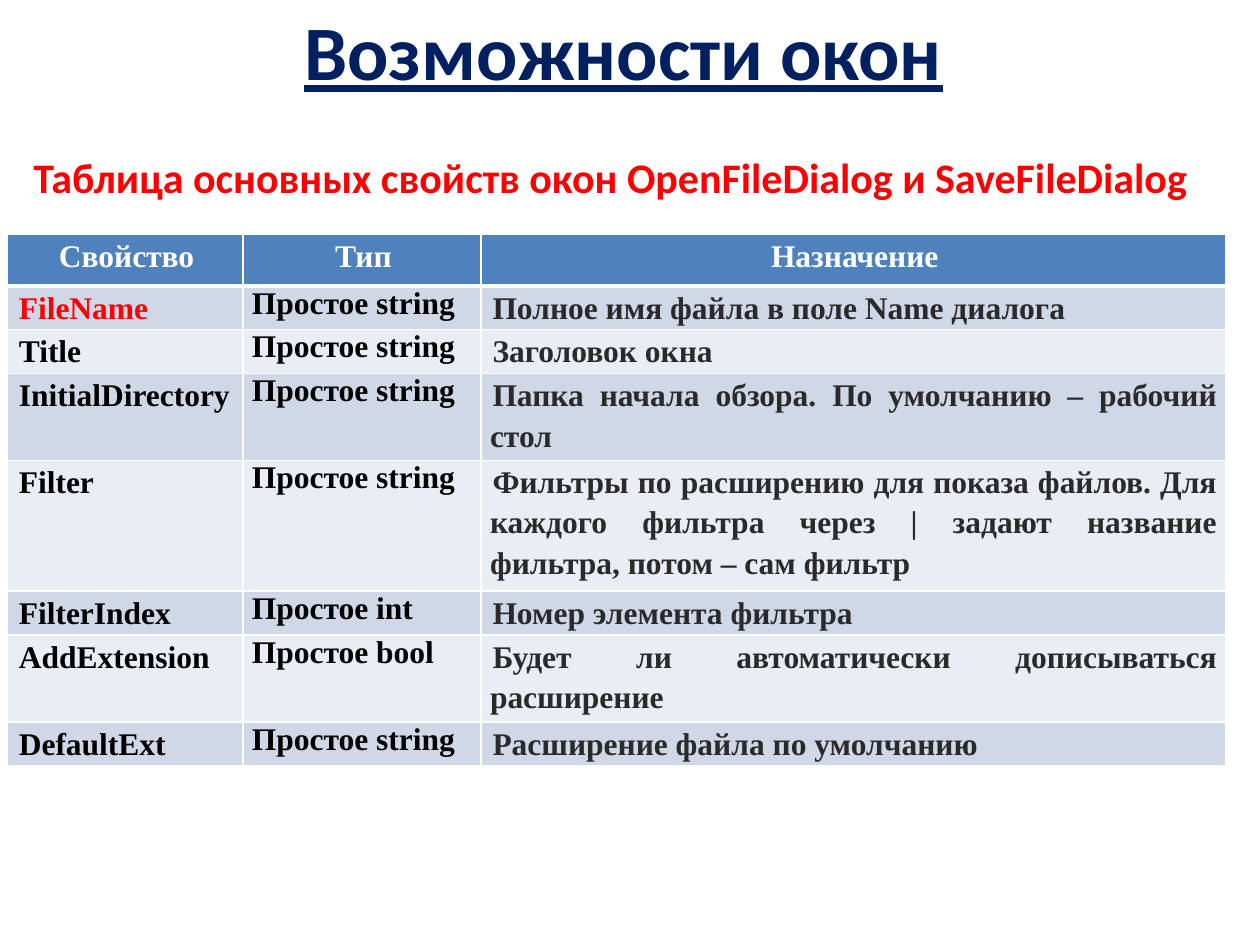
from lxml import etree
from pptx import Presentation
from pptx import util as u
from pptx.dml.color import RGBColor
from pptx.enum import text
from pptx.oxml import ns

HUES = {"navy": "002060", "red": "FF0000", "white": "FFFFFF", "black": "000000",
        "gray": "2A2A2A", "head": "4F81BD", "odd": "D0D8E8", "even": "E9EDF4"}
ALIGN = text.PP_ALIGN
WIDTHS = [1.87, 1.89, 5.91]
HEIGHTS = [0.41, 0.34, 0.35, 0.69, 1.03, 0.35, 0.69, 0.34]
ROWS = [
    ("Свойство", "Тип", "Назначение"),
    ("FileName", "Простое string", "Полное имя файла в поле Name диалога"),
    ("Title", "Простое string", "Заголовок окна"),
    ("InitialDirectory", "Простое string",
     "Папка начала обзора. По умолчанию – рабочий стол"),
    ("Filter", "Простое string",
     "Фильтры по расширению для показа файлов. Для каждого фильтра через | "
     "задают название фильтра, потом – сам фильтр"),
    ("FilterIndex", "Простое int", "Номер элемента фильтра"),
    ("AddExtension", "Простое bool", "Будет ли автоматически дописываться расширение"),
    ("DefaultExt", "Простое string", "Расширение файла по умолчанию"),
]


class Deck:
    """Holds the style and the current slide, and adds elements to it."""

    def __init__(self, hues, wide, high):
        self.hues = hues
        self.prs = Presentation()
        self.prs.slide_width, self.prs.slide_height = u.Inches(wide), u.Inches(high)
        self.slide = self.prs.slides.add_slide(self.prs.slide_layouts[6])

    def color(self, name):
        return RGBColor.from_string(self.hues[name])

    def phrase(self, para, words, hue, align, **form):
        para.alignment = align
        run = para.add_run()
        run.text = words
        run.font.color.rgb = self.color(hue)
        for key, value in form.items():
            setattr(run.font, key, value)

    def label(self, words, box, hue, anchor, **form):
        frame = self.slide.shapes.add_textbox(*map(u.Inches, box)).text_frame
        frame.word_wrap = True
        frame.vertical_anchor = anchor
        self.phrase(frame.paragraphs[0], words, hue, ALIGN.CENTER,
                    name="Calibri", bold=True, **form)

    def border(self, cell, **sides):
        props = cell._tc.get_or_add_tcPr()
        for side, points in sides.items():
            line = etree.SubElement(props, ns.qn(f"a:ln{side}"), w=str(u.Pt(points)))
            fill = etree.SubElement(line, ns.qn("a:solidFill"))
            etree.SubElement(fill, ns.qn("a:srgbClr"), val=self.hues["white"])

    def cell(self, cell, words, row, col):
        form = {"margin_left": u.Inches(0.07), "margin_right": u.Inches(0.07),
                "margin_top": 0, "margin_bottom": 0}
        for key, value in form.items():
            setattr(cell, key, value)
        self.border(cell, L=1, R=1, T=3 if row == 1 else 1, B=3 if row == 0 else 1)
        cell.fill.solid()
        band = "head" if row == 0 else "odd" if row % 2 else "even"
        cell.fill.fore_color.rgb = self.color(band)
        para = cell.text_frame.paragraphs[0]
        if row == 0 or col != 1:
            para.line_spacing = 1.15
            para._p.get_or_add_pPr().set("indent", str(u.Inches(0.02)))
        if row == 0:
            hue, align = "white", ALIGN.CENTER
        else:
            hue = "gray" if col == 2 else "red" if (row, col) == (1, 0) else "black"
            align = ALIGN.LEFT if col == 1 else ALIGN.JUSTIFY
        self.phrase(para, words, hue, align, name="Times New Roman",
                    size=u.Pt(18), bold=True)

    def table(self, rows, left, top, widths, heights):
        box = (left, top, sum(widths), sum(heights))
        grid = self.slide.shapes.add_table(
            len(rows), len(widths), *map(u.Inches, box)).table
        for col, width in zip(grid.columns, widths):
            col.width = u.Inches(width)
        for row, height in zip(grid.rows, heights):
            row.height = u.Inches(height)
        for r, line in enumerate(rows):
            for c, words in enumerate(line):
                self.cell(grid.cell(r, c), words, r, c)


def main():
    deck = Deck(HUES, 10, 7.5)
    deck.label("Возможности окон", (0.01, -0.11, 9.88, 0.92), "navy",
               text.MSO_ANCHOR.BOTTOM, size=u.Pt(44), underline=True)
    deck.label("Таблица основных свойств окон OpenFileDialog и SaveFileDialog",
               (0.12, 1.15, 9.45, 0.5), "red", text.MSO_ANCHOR.TOP, size=u.Pt(24))
    deck.table(ROWS, 0.06, 1.86, WIDTHS, HEIGHTS)
    deck.prs.save("out.pptx")


if __name__ == "__main__":
    main()
